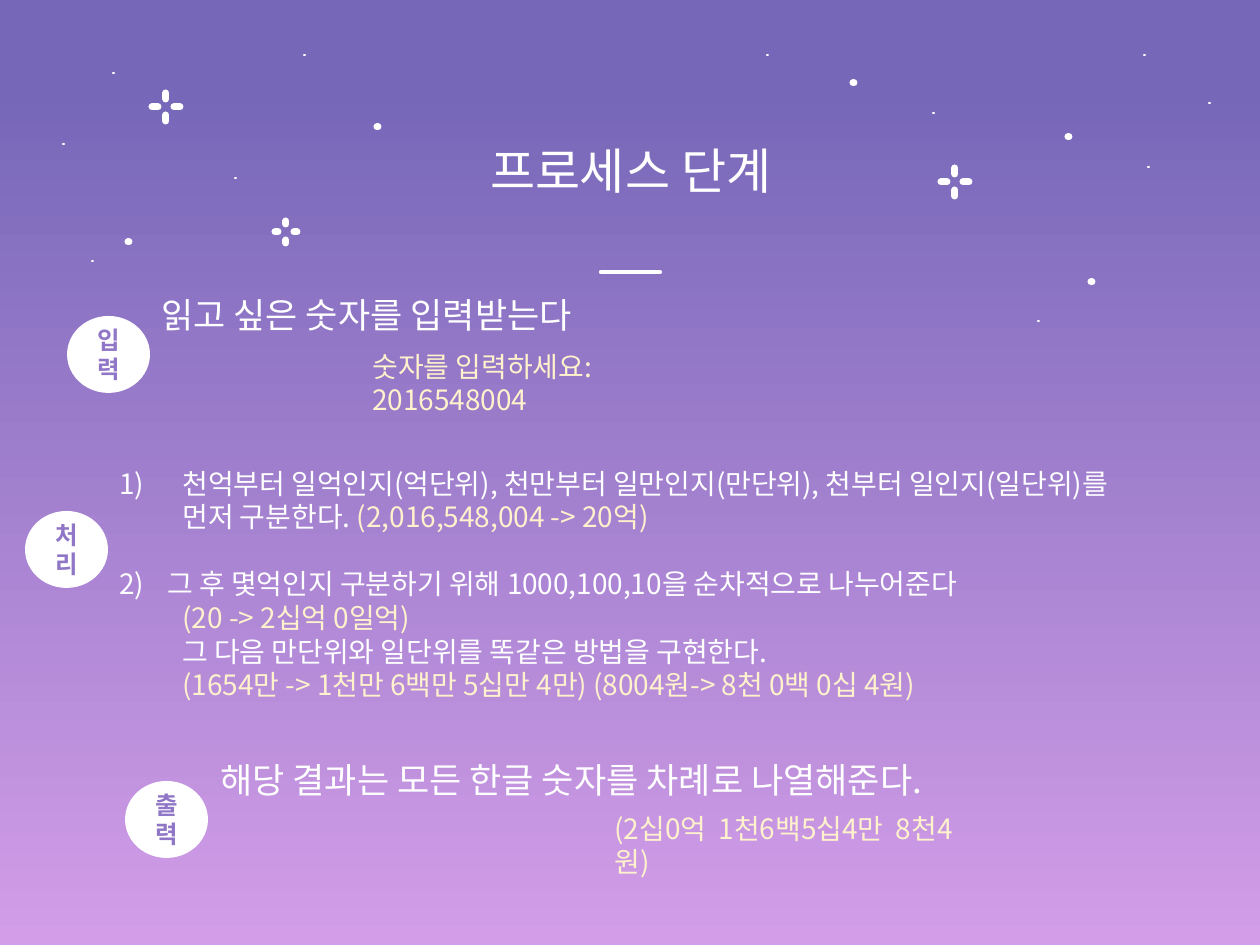
from dataclasses import dataclass

from lxml.etree import SubElement
from pptx import Presentation
from pptx.dml.color import RGBColor
from pptx.enum.shapes import MSO_CONNECTOR as Connector, MSO_SHAPE as Shape
from pptx.enum.text import MSO_ANCHOR as Anchor, MSO_AUTO_SIZE as AutoSize, PP_ALIGN as Align
from pptx.oxml.ns import qn
from pptx.util import Pt

EMU_PER_PX = 914400 / 126


@dataclass(frozen=True)
class Theme:
    """Colours, fonts and type sizes of the slide."""
    white: str = "FFFFFF"
    cream: str = "FFF2CC"
    violet: str = "9076C6"
    sky_top: str = "7667B8"
    sky_bottom: str = "D39DE8"
    korean: str = "Noto Sans CJK KR"
    latin: str = "Calibri"
    title: int = 28
    heading: int = 20
    body: int = 16
    badge: int = 14
    star: float = 4
    speck: float = 1.25
    rule: float = 2.5
    step_gap: float = 19.2


THEME = Theme()

SPARKLES = [(166, 107, 14), (286, 232, 11), (955, 182, 14)]
STARS = [(128, 242), (377, 127), (1091, 282), (1068, 137), (853, 83)]
SPECKS = [(92, 261), (235, 178), (113, 73), (933, 113), (1038, 321), (1148, 167),
          (1209, 103), (63, 144), (304, 55), (767, 55), (1144, 55)]
BADGES = [("입력", 67, 316), ("처리", 25, 511), ("출력", 125, 781)]
HEADINGS = [("읽고 싶은 숫자를 입력받는다", (149, 287, 469, 55)),
            ("해당 결과는 모든 한글 숫자를 차례로 나열해준다.", (208, 752, 777, 55))]
EXAMPLES = [("숫자를 입력하세요: 2016548004", (360, 343, 370, 47)),
            ("(2십0억  1천6백5십4만  8천4원)", (602, 805, 364, 47))]
STEPS = [
    (63, [("천억부터 일억인지(억단위), 천만부터 일만인지(만단위), 천부터 일인지(일단위)를", THEME.white)],
     [[("먼저 구분한다. ", THEME.white), ("(2,016,548,004 -> 20억)", THEME.cream)]]),
    (48, [("그 후 몇억인지 구분하기 위해 1000,100,10을 순차적으로 나누어준다", THEME.white)],
     [[("(20 -> 2십억 0일억)", THEME.cream)],
      [("그 다음 만단위와 일단위를 똑같은 방법을 구현한다.", THEME.white)],
      [("(1654만 -> 1천만 6백만 5십만 4만) (8004원-> 8천 0백 0십 4원)", THEME.cream)]]),
]
DETAIL_INDENT = 63


def px(length):
    """Turn pixels into EMU."""
    return round(length * EMU_PER_PX)


def write_text(paragraph, text, size=THEME.body, color=THEME.white, font=THEME.korean, bold=False):
    """Append a formatted run to a paragraph."""
    run = paragraph.add_run()
    run.text = text
    run.font.size = Pt(size)
    run.font.bold = bold
    run.font.name = font
    run.font.color.rgb = RGBColor.from_string(color)
    SubElement(run.font._element, qn("a:ea"), typeface=THEME.korean)


def add_frame(slide, box):
    """Add a wrapping text box that grows with its text."""
    frame = slide.shapes.add_textbox(*map(px, box)).text_frame
    frame.word_wrap = True
    frame.auto_size = AutoSize.SHAPE_TO_FIT_TEXT
    return frame


def add_label(slide, text, box, align=Align.LEFT, **style):
    """Add a text box with one paragraph."""
    paragraph = add_frame(slide, box).paragraphs[0]
    paragraph.alignment = align
    write_text(paragraph, text, **style)


def add_stroke(slide, start, end, width):
    """Add a white straight line with round ends."""
    stroke = slide.shapes.add_connector(Connector.STRAIGHT, *map(px, (*start, *end)))
    stroke.line.color.rgb = RGBColor.from_string(THEME.white)
    stroke.line.width = Pt(width)
    stroke.line._get_or_add_ln().set("cap", "rnd")
    SubElement(stroke._element.spPr, qn("a:effectLst"))


def add_sparkle(slide, x, y, reach, gap=8):
    """Add four short strokes around a centre."""
    for dx, dy in ((0, -1), (0, 1), (-1, 0), (1, 0)):
        add_stroke(slide, (x + dx * gap, y + dy * gap), (x + dx * reach, y + dy * reach), THEME.star)


def add_dots(slide, centres, width):
    """Add round dots of one width."""
    for x, y in centres:
        add_stroke(slide, (x, y), (x + 1, y), width)


def add_badge(slide, text, left, top):
    """Add a white oval with the name of a stage."""
    badge = slide.shapes.add_shape(Shape.OVAL, *map(px, (left, top, 83, 77)))
    badge.shadow.inherit = False
    badge.fill.solid()
    badge.fill.fore_color.rgb = RGBColor.from_string(THEME.white)
    badge.line.fill.background()
    badge.text_frame.word_wrap = True
    badge.text_frame.vertical_anchor = Anchor.MIDDLE
    paragraph = badge.text_frame.paragraphs[0]
    paragraph.alignment = Align.CENTER
    write_text(paragraph, text, size=THEME.badge, color=THEME.violet, font=THEME.latin, bold=True)


def indent(paragraph, margin, number=None):
    """Indent a paragraph and number it when a number is given."""
    properties = paragraph._p.get_or_add_pPr()
    properties.set("marL", str(px(margin)))
    properties.set("indent", str(-px(margin) if number else 0))
    if number:
        SubElement(properties, qn("a:buAutoNum"), type="arabicParenR", startAt=str(number))


def add_steps(slide, box):
    """Add the numbered processing steps with their details."""
    frame = add_frame(slide, box)
    for number, (margin, lead, details) in enumerate(STEPS, 1):
        for row, runs in enumerate([lead, *details]):
            first = number == 1 and row == 0
            paragraph = frame.paragraphs[0] if first else frame.add_paragraph()
            if row == 0 and not first:
                paragraph.space_before = Pt(THEME.step_gap)
            if row == 0:
                indent(paragraph, margin, number)
            else:
                indent(paragraph, DETAIL_INDENT)
            for text, color in runs:
                write_text(paragraph, text, color=color)


def paint_sky(slide):
    """Fill the background with a vertical gradient."""
    sky = slide.background.fill
    sky.gradient()
    sky.gradient_angle = 270
    colors = ((0.09, THEME.sky_top), (1, THEME.sky_bottom))
    for stop, (position, color) in zip(sky.gradient_stops, colors):
        stop.position = position
        stop.color.rgb = RGBColor.from_string(color)


def main():
    """Build the slide and save it."""
    deck = Presentation()
    deck.slide_width, deck.slide_height = px(1260), px(945)
    slide = deck.slides.add_slide(deck.slide_layouts[6])
    paint_sky(slide)
    add_label(slide, "프로세스 단계", (465, 134, 331, 72), align=Align.CENTER, size=THEME.title)
    for sparkle in SPARKLES:
        add_sparkle(slide, *sparkle)
    add_dots(slide, STARS, THEME.star)
    add_dots(slide, SPECKS, THEME.speck)
    add_stroke(slide, (601, 272), (660, 272), THEME.rule)
    for badge in BADGES:
        add_badge(slide, *badge)
    for text, box in HEADINGS:
        add_label(slide, text, box, size=THEME.heading)
    for text, box in EXAMPLES:
        add_label(slide, text, box, color=THEME.cream)
    add_steps(slide, (107, 460, 1152, 251))
    deck.save("out.pptx")


if __name__ == "__main__":
    main()
